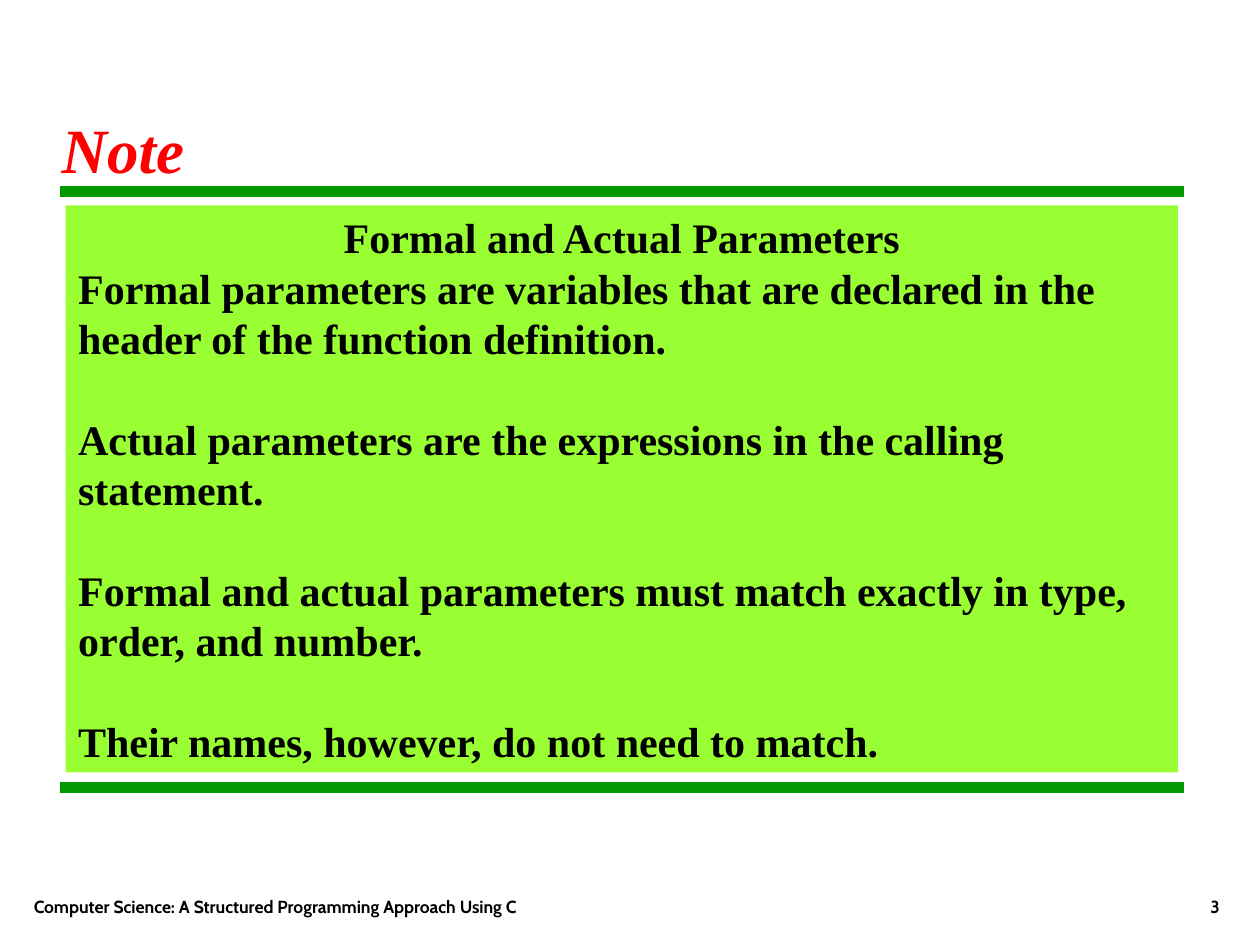
from dataclasses import dataclass

from lxml.etree import SubElement
from pptx import Presentation
from pptx.dml.color import RGBColor
from pptx.enum.shapes import MSO_CONNECTOR as Connector
from pptx.enum.text import MSO_ANCHOR as Anchor, MSO_AUTO_SIZE as AutoSize, PP_ALIGN as Align
from pptx.oxml.ns import qn
from pptx.util import Inches, Pt

SERIF = "Times New Roman"
SANS = "Cabin"
LINE_FACTOR = 1.2


@dataclass
class Box:
    left: float
    top: float
    width: float
    height: float


@dataclass
class Footer:
    text: str
    box: Box
    align: Align


BAR_LEFT, BAR_RIGHT = 0.48, 9.4
BAR_TOPS = (1.52, 6.25)
TITLE_BOX = Box(0.39, 0.83, 1.17, 0.7)
BODY_BOX = Box(0.52, 1.63, 8.83, 4.5)
HEADING = "Formal and Actual Parameters"
STATEMENTS = (
    "Formal parameters are variables that are declared in the header of the function definition.",
    "Actual parameters are the expressions in the calling statement.",
    "Formal and actual parameters must match exactly in type, order, and number.",
    "Their names, however, do not need to match.",
)
FOOTERS = (
    Footer("Computer Science: A Structured Programming Approach Using C",
           Box(0.17, 6.83, 5.67, 0.5), Align.LEFT),
    Footer("3", Box(7.7, 6.83, 2.08, 0.5), Align.RIGHT),
)


def color(value: str) -> RGBColor:
    return RGBColor.from_string(value)


def place(shape, box: Box) -> None:
    shape.left, shape.top = Inches(box.left), Inches(box.top)
    shape.width, shape.height = Inches(box.width), Inches(box.height)


def prepare_frame(shape, *, anchor=Anchor.TOP, side_margin: float = 0.1):
    frame = shape.text_frame
    frame.word_wrap = True
    frame.auto_size = AutoSize.NONE
    frame.vertical_anchor = anchor
    frame.margin_left = frame.margin_right = Inches(side_margin)
    return frame


def write(paragraph, text: str, *, font: str, size: float, fill: str = "000000",
          italic: bool = False, align=Align.LEFT, spacing=None, after: float = 0) -> None:
    run = paragraph.add_run()
    run.text = text
    run.font.name = font
    run.font.size = Pt(size)
    run.font.bold = True
    run.font.italic = italic
    run.font.color.rgb = color(fill)
    paragraph.alignment = align
    paragraph.space_before = Pt(0)
    paragraph.space_after = Pt(after)
    if spacing:
        paragraph.line_spacing = Pt(spacing)


def remove_bullet(paragraph) -> None:
    properties = paragraph._p.get_or_add_pPr()
    properties.set("marL", "0")
    properties.set("indent", "0")
    SubElement(properties, qn("a:buNone"))


def add_bar(slide, top: float) -> None:
    bar = slide.shapes.add_connector(
        Connector.STRAIGHT, Inches(BAR_LEFT), Inches(top), Inches(BAR_RIGHT), Inches(top))
    bar.line.color.rgb = color("009900")
    bar.line.width = Pt(6)
    SubElement(bar._element.spPr, qn("a:effectLst"))


def fill_title(title) -> None:
    place(title, TITLE_BOX)
    frame = prepare_frame(title, side_margin=0)
    write(frame.paragraphs[0], "Note", font=SERIF, size=36, fill="FF0000",
          italic=True, align=Align.CENTER, spacing=36 * LINE_FACTOR)


def fill_body(body) -> None:
    place(body, BODY_BOX)
    body.fill.solid()
    body.fill.fore_color.rgb = color("99FF33")
    frame = prepare_frame(body)
    size = 24
    pitch = size * LINE_FACTOR
    heading = frame.paragraphs[0]
    write(heading, HEADING, font=SERIF, size=size, align=Align.CENTER, spacing=pitch)
    remove_bullet(heading)
    for statement in STATEMENTS:
        paragraph = frame.add_paragraph()
        gap = 0 if statement == STATEMENTS[-1] else pitch
        write(paragraph, statement, font=SERIF, size=size, spacing=pitch, after=gap)
        remove_bullet(paragraph)


def add_footer(slide, footer: Footer) -> None:
    shape = slide.shapes.add_textbox(0, 0, 0, 0)
    place(shape, footer.box)
    frame = prepare_frame(shape, anchor=Anchor.BOTTOM)
    write(frame.paragraphs[0], footer.text, font=SANS, size=10, align=footer.align)


def main() -> None:
    presentation = Presentation()
    presentation.slide_width = Inches(10)
    presentation.slide_height = Inches(7.5)
    slide = presentation.slides.add_slide(presentation.slide_layouts[1])
    for top in BAR_TOPS:
        add_bar(slide, top)
    fill_title(slide.shapes.title)
    fill_body(slide.placeholders[1])
    for footer in FOOTERS:
        add_footer(slide, footer)
    presentation.save("out.pptx")


if __name__ == "__main__":
    main()
